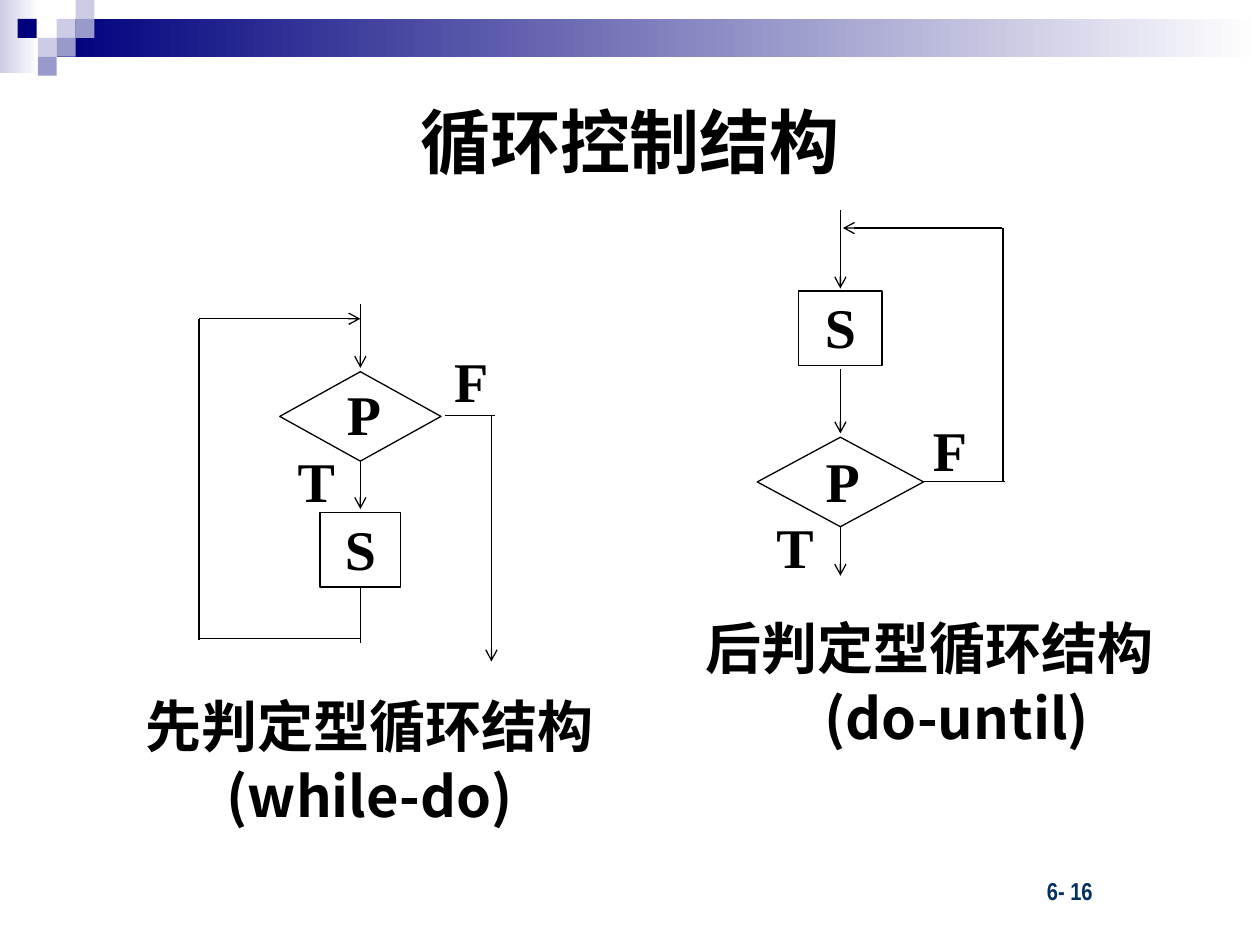
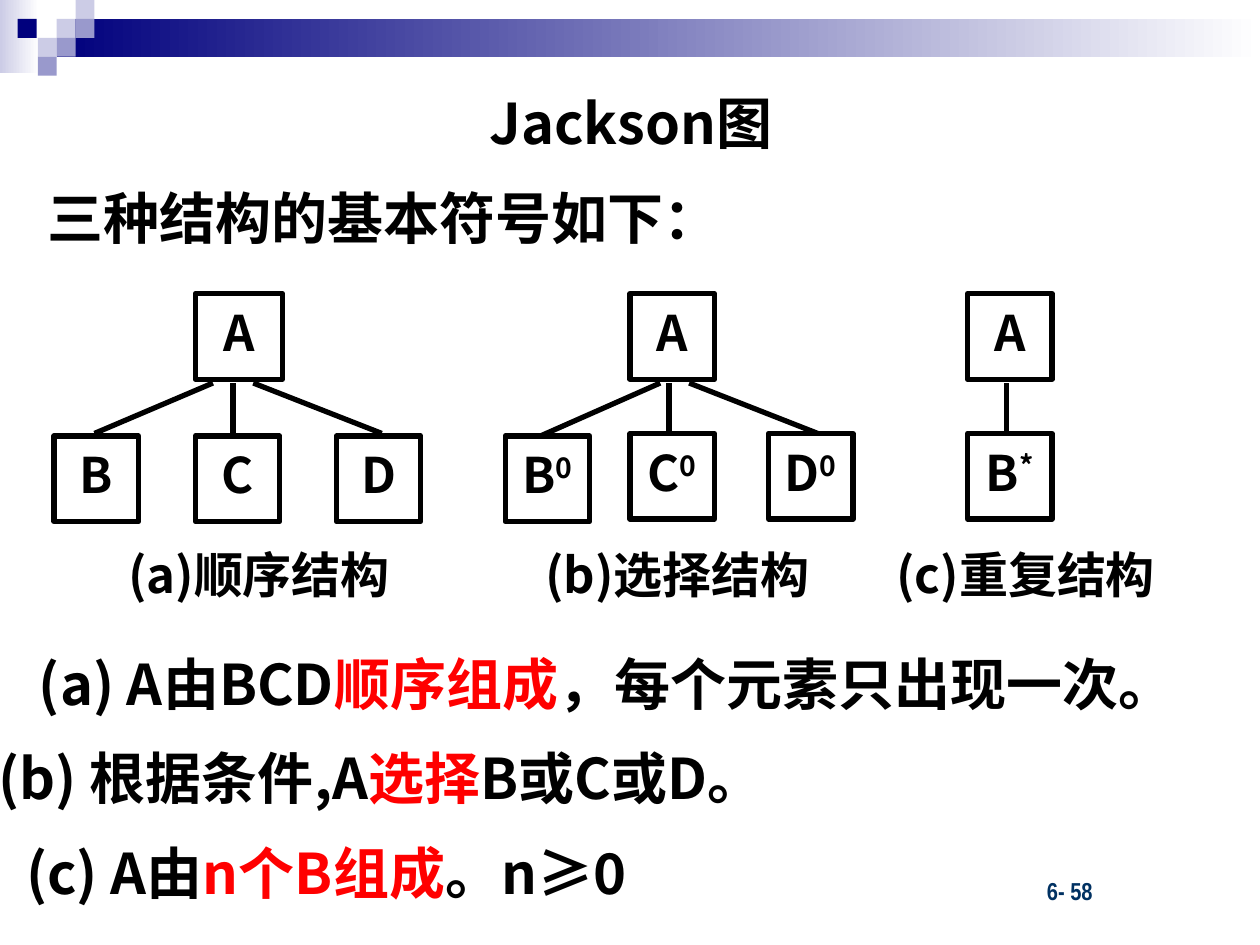
from lxml.etree import SubElement
from pptx import Presentation
from pptx.dml.color import RGBColor
from pptx.enum.shapes import MSO_CONNECTOR, MSO_SHAPE
from pptx.enum.text import MSO_ANCHOR as ANCHOR, PP_ALIGN as ALIGN
from pptx.oxml.ns import qn
from pptx.util import Inches, Pt

COLORS = {"black": "000000", "red": "FF0000", "navy": "00007D", "lilac": "CCCCE6",
          "violet": "9999CC", "white": "FFFFFF", "footer": "003162"}
CJK, SERIF, NARROW = "Noto Sans CJK SC", "Times New Roman", "Arial Narrow"
TILE = 0.15


def add_text(slide, paragraphs, left, top, width, height, *, size=32, font=CJK,
             color="black", align=ALIGN.CENTER, anchor=ANCHOR.TOP, inset=(0.1, 0.05),
             border=None, hanging=0):
    box = [Inches(value) for value in (left, top, width, height)]
    if border:
        shape = slide.shapes.add_shape(MSO_SHAPE.RECTANGLE, *box)
        shape.shadow.inherit = False
        shape.fill.background()
        shape.line.color.rgb = RGBColor.from_string(COLORS["black"])
        shape.line.width = Pt(border)
    else:
        shape = slide.shapes.add_textbox(*box)
    frame = shape.text_frame
    frame.word_wrap = True
    frame.vertical_anchor = anchor
    frame.margin_left = frame.margin_right = Inches(inset[0])
    frame.margin_top = frame.margin_bottom = Inches(inset[1])
    for index, runs in enumerate(paragraphs):
        paragraph = frame.add_paragraph() if index else frame.paragraphs[0]
        paragraph.alignment = align
        if font == CJK:
            paragraph.line_spacing = Pt(size * 1.25)
        if hanging:
            properties = paragraph._p.get_or_add_pPr()
            properties.set("marL", str(Inches(hanging)))
            properties.set("indent", str(-Inches(hanging)))
        for content, mark in runs:
            run = paragraph.add_run()
            run.text = content
            run.font.size = Pt(size)
            run.font.bold = True
            run.font.name = font
            run.font.color.rgb = RGBColor.from_string(COLORS["red" if mark == "red" else color])
            run_properties = run._r.get_or_add_rPr()
            SubElement(run_properties, qn("a:ea")).set("typeface", font)
            if mark == "super":
                run_properties.set("baseline", "30000")


def add_line(slide, start_x, start_y, end_x, end_y, width=0.75, arrow=False):
    line = slide.shapes.add_connector(
        MSO_CONNECTOR.STRAIGHT, *[Inches(value) for value in (start_x, start_y, end_x, end_y)])
    line.line.color.rgb = RGBColor.from_string(COLORS["black"])
    line.line.width = Pt(width)
    if arrow:
        SubElement(line.line._get_or_add_ln(), qn("a:tailEnd")).set("type", "arrow")
    SubElement(line._element.spPr, qn("a:effectLst"))


presentation = Presentation()
presentation.slide_width = Inches(10)
presentation.slide_height = Inches(7.5)

band_parts = [(0, 0, 0.31, 0.58, "lilac", True), (0.45, 0.15, 9.55, 0.3, "navy", True)]
band_parts += [(left, top, TILE, TILE, color, False) for left, top, color in [
    (0.45, 0.15, "lilac"), (0.6, 0, "lilac"), (0.6, 0.15, "violet"), (0.3, 0.3, "lilac"),
    (0.14, 0.15, "navy"), (0.45, 0.3, "violet"), (0.3, 0.45, "violet")]]

slides = []
for title, title_left, title_top, title_size, number in [
        ("循环控制结构", 0.5, 0.5, 40, "6- 16"), ("Jackson图", 0.51, 0.36, 32, "6- 58")]:
    slide = presentation.slides.add_slide(presentation.slide_layouts[6])
    for left, top, width, height, color, fades in band_parts:
        part = slide.shapes.add_shape(
            MSO_SHAPE.RECTANGLE, Inches(left), Inches(top), Inches(width), Inches(height))
        part.shadow.inherit = False
        part.line.fill.background()
        if fades:
            part.fill.gradient()
            part.fill.gradient_angle = 0
            for stop, position, name in zip(part.fill.gradient_stops, (0, 1), (color, "white")):
                stop.position = position
                stop.color.rgb = RGBColor.from_string(COLORS[name])
        else:
            part.fill.solid()
            part.fill.fore_color.rgb = RGBColor.from_string(COLORS[color])
    add_text(slide, [[(number, None)]], 8.21, 6.9, 1.15, 0.33, size=14, font=NARROW,
             color="footer", align=ALIGN.LEFT)
    add_text(slide, [[(title, None)]], title_left, title_top, 9, 1.2, size=title_size,
             anchor=ANCHOR.MIDDLE)
    slides.append(slide)
loop_slide, jackson_slide = slides

for left, top, width in [(2.22, 2.95, 1.28), (6.01, 3.47, 1.32)]:
    decision = loop_slide.shapes.add_shape(
        MSO_SHAPE.DIAMOND, Inches(left), Inches(top), Inches(width), Inches(0.71))
    decision.shadow.inherit = False
    decision.fill.background()
    decision.line.color.rgb = RGBColor.from_string(COLORS["black"])
    decision.line.width = Pt(0.75)

for label, left, top, width, border in [
        ("T", 2.19, 3.53, 0.64, None), ("P", 2.57, 3, 0.64, None),
        ("S", 2.54, 4.07, 0.64, 0.75), ("F", 3.42, 2.74, 0.64, None),
        ("F", 7.21, 3.29, 0.66, None), ("S", 6.34, 2.31, 0.66, 0.75),
        ("T", 5.98, 4.06, 0.66, None), ("P", 6.36, 3.53, 0.66, None)]:
    add_text(loop_slide, [[(label, None)]], left, top, width, 0.59, font=SERIF,
             inset=(0.02, 0.01), border=border)

WHILE_X, UNTIL_X = 2.86, 6.67
for ends in [(WHILE_X, 2.41, WHILE_X, 2.92), (WHILE_X, 3.65, WHILE_X, 4.04),
             (1.58, 2.53, WHILE_X, 2.53), (3.9, 3.3, 3.9, 5.25),
             (UNTIL_X, 1.67, UNTIL_X, 2.29), (UNTIL_X, 2.93, UNTIL_X, 3.44),
             (UNTIL_X, 4.18, UNTIL_X, 4.57), (7.95, 1.81, 6.69, 1.81)]:
    add_line(loop_slide, *ends, arrow=True)
for ends in [(WHILE_X, 4.66, WHILE_X, 5.1), (1.58, 5.07, WHILE_X, 5.07),
             (1.58, 5.08, 1.58, 2.53), (3.53, 3.3, 3.93, 3.3),
             (7.32, 3.82, 7.98, 3.82), (7.96, 3.82, 7.96, 1.81)]:
    add_line(loop_slide, *ends)

add_text(loop_slide, [[("先判定型循环结构", None)], [("(while-do)", None)]],
         0.9, 5.42, 4.07, 1.2)
add_text(loop_slide, [[("后判定型循环结构(do-until)", None)]],
         5.17, 4.8, 4.42, 1.17, hanging=0.43)

add_text(jackson_slide, [[("三种结构的基本符号如下：", None)]], 0.28, 1.39, 5.54, 0.64,
         align=ALIGN.LEFT, anchor=ANCHOR.MIDDLE)

trees = [
    (1.55, 0.69, "", [("B", 0.43, 3.46), ("C", 1.55, 3.46), ("D", 2.67, 3.46)],
     [(1.69, 0.75, 3.44), (1.85, 1.85, 3.44), (2.01, 3.03, 3.44)],
     "(a)顺序结构", 0.78, 2.55),
    (5, 0.67, "0", [("B", 4.01, 3.46), ("C", 5, 3.44), ("D", 6.1, 3.44)],
     [(5.24, 4.29, 3.46), (5.31, 5.31, 3.43), (5.47, 6.49, 3.44)],
     "(b)选择结构", 4.1, 2.55),
    (7.68, 0.67, "*", [("B", 7.68, 3.44)], [(7.99, 7.99, 3.44)],
     "(c)重复结构", 6.93, 2.42),
]
for root_left, root_width, symbol, children, branches, caption, caption_left, caption_width in trees:
    add_text(jackson_slide, [[("A", None)]], root_left, 2.33, root_width, 0.68, size=28, border=3)
    for start_x, end_x, end_y in branches:
        add_line(jackson_slide, start_x, 3.04, end_x, end_y, width=3)
    for name, left, top in children:
        runs = [(name, None)] + ([(symbol, "super")] if symbol else [])
        add_text(jackson_slide, [runs], left, top, 0.67, 0.68, size=28, border=3)
    add_text(jackson_slide, [[(caption, None)]], caption_left, 4.25, caption_width, 0.57, size=28)

explanations = [
    (0.21, 9.78, "(a) A由BCD", "顺序组成", "，每个元素只出现一次。"),
    (-0.11, 7.57, "(b) 根据条件,A", "选择", "B或C或D。"),
    (0.11, 6.2, "(c) A由", "n个B组成", "。n≥0"),
]
for row, (left, width, opening, keyword, ending) in enumerate(explanations):
    add_text(jackson_slide, [[(opening, None), (keyword, "red"), (ending, None)]],
             left, 5.08 + 0.75 * row, width, 0.64, align=ALIGN.LEFT)

presentation.save("out.pptx")
